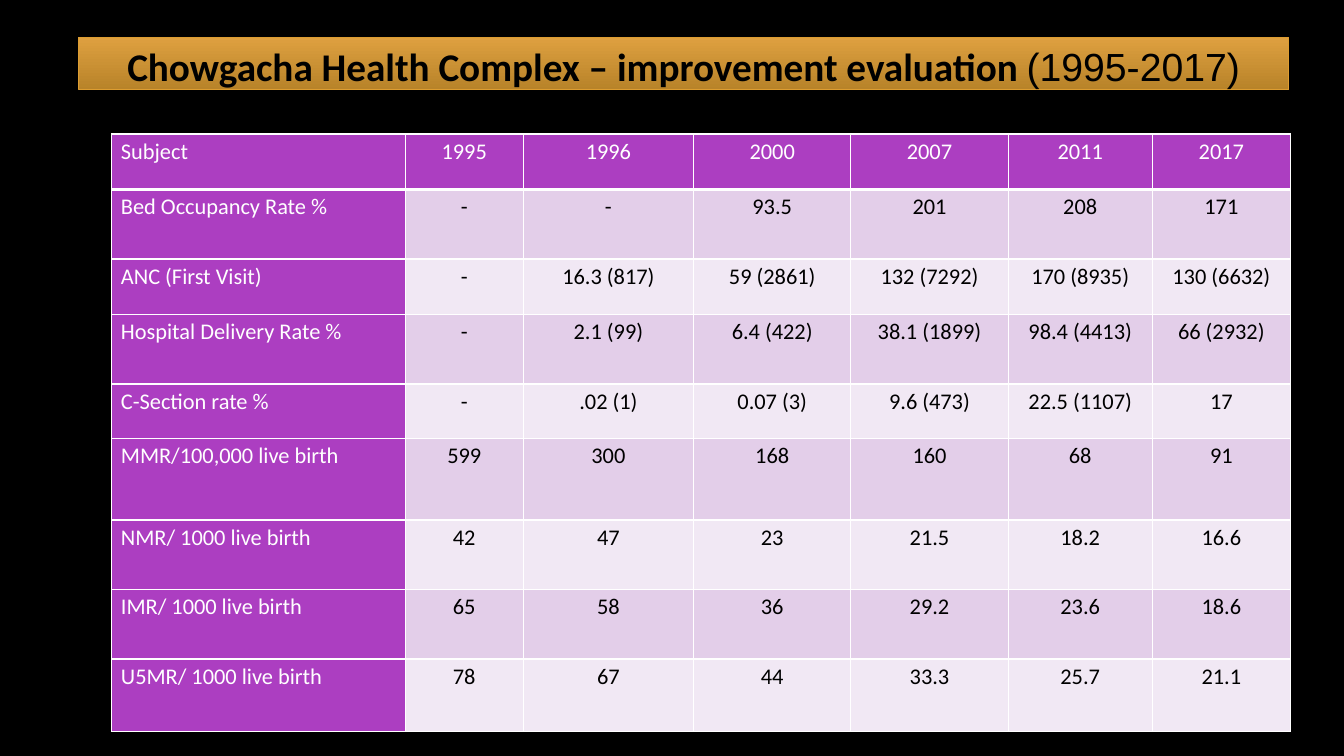
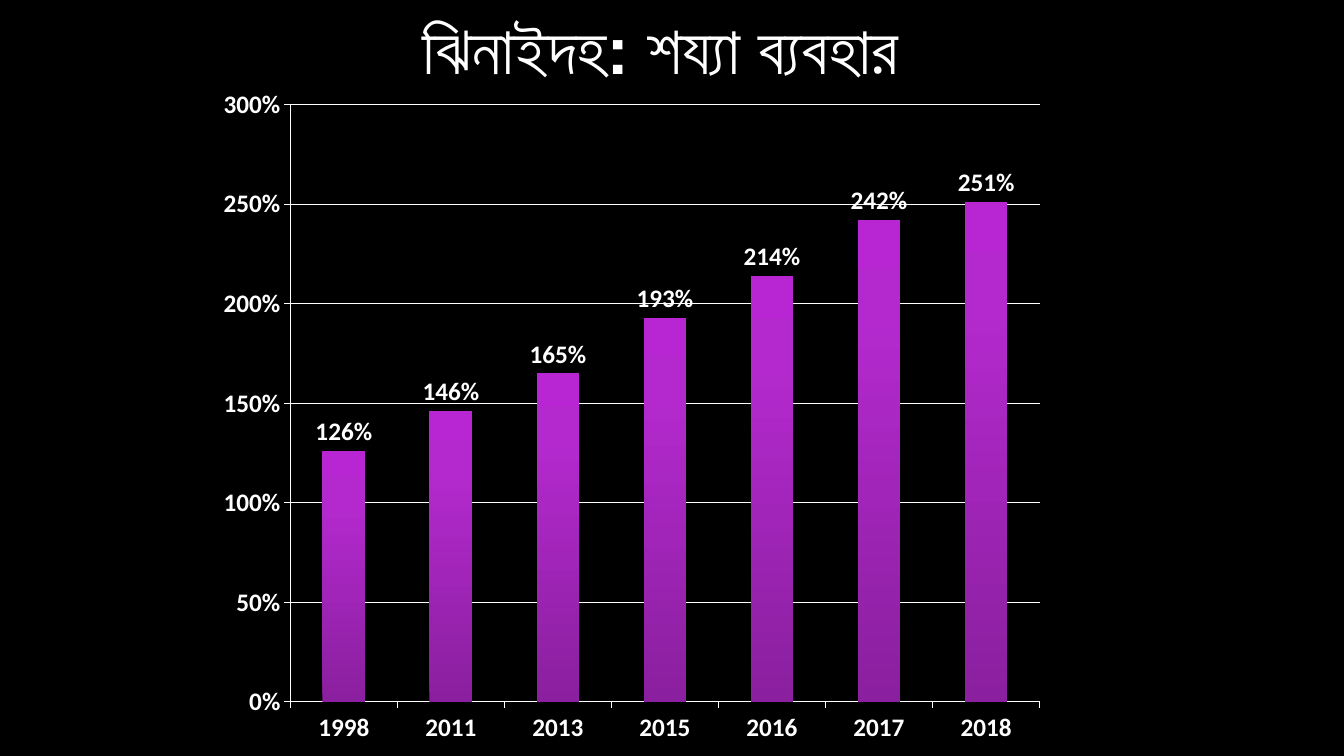
from dataclasses import dataclass

from lxml.etree import SubElement
from pptx import Presentation
from pptx.chart.data import CategoryChartData
from pptx.dml.color import RGBColor
from pptx.enum.chart import XL_CHART_TYPE as ChartType
from pptx.enum.chart import XL_LABEL_POSITION as LabelPosition
from pptx.enum.chart import XL_TICK_MARK as TickMark
from pptx.enum.text import MSO_ANCHOR as Anchor
from pptx.enum.text import MSO_AUTO_SIZE as AutoSize
from pptx.enum.text import PP_ALIGN as Align
from pptx.oxml.ns import qn
from pptx.util import Inches, Pt


@dataclass(frozen=True)
class Theme:
    black: str = "000000"
    white: str = "FFFFFF"
    purple: str = "AC3EC1"
    bands: tuple = ("E3CEE9", "F1E8F4")
    gold_line: str = "DD9D31"
    gold_stops: tuple = ((0, "DEA040"), (100, "B88329"))
    bar_stops: tuple = ((0, "8A209F"), (80, "B429CE"), (100, "B726D2"))
    body_font: str = "Calibri"
    title_font: str = "Arial"
    table_size: int = 16
    chart_size: int = 18
    band_title_size: int = 28
    chart_title_size: int = 48
    thin_line: float = 0.75
    border: float = 1
    header_border: float = 3


THEME = Theme()

EVALUATION_TITLE = (
    ("Chowgacha Health Complex – improvement evaluation ", THEME.body_font, True),
    ("(1995-2017)", THEME.title_font, False),
)
EVALUATION_ROWS = [
    ("Subject", "1995", "1996", "2000", "2007", "2011", "2017"),
    ("Bed Occupancy Rate %", "-", "-", "93.5", "201", "208", "171"),
    ("ANC (First Visit)", "-", "16.3 (817)", "59 (2861)", "132 (7292)",
     "170 (8935)", "130 (6632)"),
    ("Hospital Delivery Rate %", "-", "2.1 (99)", "6.4 (422)", "38.1 (1899)",
     "98.4 (4413)", "66 (2932)"),
    ("C-Section rate %", "-", ".02 (1)", "0.07 (3)", "9.6 (473)",
     "22.5 (1107)", "17"),
    ("MMR/100,000 live birth", "599", "300", "168", "160", "68", "91"),
    ("NMR/ 1000 live birth", "42", "47", "23", "21.5", "18.2", "16.6"),
    ("IMR/ 1000 live birth", "65", "58", "36", "29.2", "23.6", "18.6"),
    ("U5MR/ 1000 live birth", "78", "67", "44", "33.3", "25.7", "21.1"),
]
COLUMN_WIDTHS = (2.91, 1.17, 1.69, 1.56, 1.56, 1.43, 1.37)
ROW_HEIGHTS = (0.55, 0.69, 0.55, 0.69, 0.54, 0.81, 0.69, 0.69, 0.72)

BED_USE_TITLE = (("ঝিনাইদহ: শয্যা ব্যবহার", THEME.title_font, True),)
BED_USE = {
    "1998": 1.26, "2011": 1.46, "2013": 1.65, "2015": 1.93,
    "2016": 2.14, "2017": 2.42, "2018": 2.51,
}


def rgb(color):
    return RGBColor.from_string(color)


def style_font(font, name, size, color, bold=False):
    font.name = name
    font.size = Pt(size)
    font.bold = bold
    font.color.rgb = rgb(color)


def style_line(line, color, width=THEME.thin_line):
    line.color.rgb = rgb(color)
    line.width = Pt(width)


def fill_gradient(fill, properties, stops, angle):
    fill.gradient()
    fill.gradient_angle = angle
    stop_list = properties.find(qn("a:gradFill")).find(qn("a:gsLst"))
    for stop in list(stop_list):
        stop_list.remove(stop)
    for position, color in stops:
        stop = SubElement(stop_list, qn("a:gs"), pos=str(position * 1000))
        SubElement(stop, qn("a:srgbClr"), val=color)


def add_titled_slide(presentation, runs, box, size, color):
    slide = presentation.slides.add_slide(presentation.slide_layouts[5])
    title = slide.shapes.title
    title.left, title.top, title.width, title.height = map(Inches, box)
    frame = title.text_frame
    frame.auto_size = AutoSize.NONE
    frame.word_wrap = True
    frame.vertical_anchor = Anchor.MIDDLE
    paragraph = frame.paragraphs[0]
    paragraph.alignment = Align.CENTER
    for text, font_name, bold in runs:
        run = paragraph.add_run()
        run.text = text
        style_font(run.font, font_name, size, color, bold)
    return slide


def set_borders(cell, bottom_width):
    properties = cell._tc.get_or_add_tcPr()
    widths = dict.fromkeys(("a:lnL", "a:lnR", "a:lnT"), THEME.border)
    widths["a:lnB"] = bottom_width
    for tag, width in widths.items():
        line = SubElement(properties, qn(tag), w=str(Pt(width)))
        fill = SubElement(line, qn("a:solidFill"))
        SubElement(fill, qn("a:srgbClr"), val=THEME.white)


def style_cell(cell, text, row, column):
    heading = row == 0 or column == 0
    cell.margin_left = cell.margin_right = Inches(0.09)
    cell.margin_top = cell.margin_bottom = 0
    set_borders(cell, THEME.border if row else THEME.header_border)
    cell.fill.solid()
    cell.fill.fore_color.rgb = rgb(
        THEME.purple if heading else THEME.bands[(row - 1) % 2])
    cell.text_frame.text = text
    paragraph = cell.text_frame.paragraphs[0]
    paragraph.line_spacing = 1.15
    paragraph.alignment = Align.CENTER if column else Align.LEFT
    style_font(paragraph.runs[0].font, THEME.body_font, THEME.table_size,
               THEME.white if heading else THEME.black)


def build_evaluation(presentation):
    slide = add_titled_slide(presentation, EVALUATION_TITLE,
                             (0.78, 0.37, 12, 0.52),
                             THEME.band_title_size, THEME.black)
    band = slide.shapes.title
    band.text_frame.margin_bottom = 0
    fill_gradient(band.fill, band._element.spPr, THEME.gold_stops, 270)
    style_line(band.line, THEME.gold_line)
    band.shadow.inherit = False

    table = slide.shapes.add_table(
        len(ROW_HEIGHTS), len(COLUMN_WIDTHS), Inches(1.11), Inches(1.33),
        Inches(sum(COLUMN_WIDTHS)), Inches(sum(ROW_HEIGHTS))).table
    for column, width in zip(table.columns, COLUMN_WIDTHS):
        column.width = Inches(width)
    for row, height in zip(table.rows, ROW_HEIGHTS):
        row.height = Inches(height)
    for row, texts in enumerate(EVALUATION_ROWS):
        for column, text in enumerate(texts):
            style_cell(table.cell(row, column), text, row, column)


def build_bed_use(presentation):
    slide = add_titled_slide(presentation, BED_USE_TITLE, (2.05, 0.14, 9, 0.67),
                             THEME.chart_title_size, THEME.white)
    data = CategoryChartData(number_format="0%")
    data.categories = list(BED_USE)
    data.add_series("Series 1", list(BED_USE.values()))
    chart = slide.shapes.add_chart(
        ChartType.COLUMN_CLUSTERED, Inches(2.05), Inches(0.75),
        Inches(8.43), Inches(6.75), data).chart
    chart.has_legend = False
    chart.has_title = False
    style_font(chart.font, THEME.body_font, THEME.chart_size, THEME.white, True)

    for axis in (chart.category_axis, chart.value_axis):
        axis.major_tick_mark = TickMark.OUTSIDE
        axis.minor_tick_mark = TickMark.NONE
        style_line(axis.format.line, THEME.white)
    values = chart.value_axis
    values.minimum_scale, values.maximum_scale, values.major_unit = 0, 3, 0.5
    values.has_major_gridlines = True
    style_line(values.major_gridlines.format.line, THEME.white)
    values.tick_labels.number_format = "0%"
    values.tick_labels.number_format_is_linked = False

    plot = chart.plots[0]
    plot.gap_width = 150
    plot.vary_by_categories = False
    plot.has_data_labels = True
    labels = plot.data_labels
    labels.show_value = True
    labels.position = LabelPosition.OUTSIDE_END
    labels.number_format = "0%"
    labels.number_format_is_linked = False
    style_font(labels.font, THEME.body_font, THEME.chart_size, THEME.white, True)
    series = plot.series[0]
    series.invert_if_negative = False
    fill_gradient(series.format.fill, series._element.spPr, THEME.bar_stops, 90)


def main():
    presentation = Presentation()
    presentation.slide_width = Inches(13.33)
    presentation.slide_height = Inches(7.5)
    background = presentation.slide_master.background.fill
    background.solid()
    background.fore_color.rgb = rgb(THEME.black)
    build_evaluation(presentation)
    build_bed_use(presentation)
    presentation.save("out.pptx")


if __name__ == "__main__":
    main()
